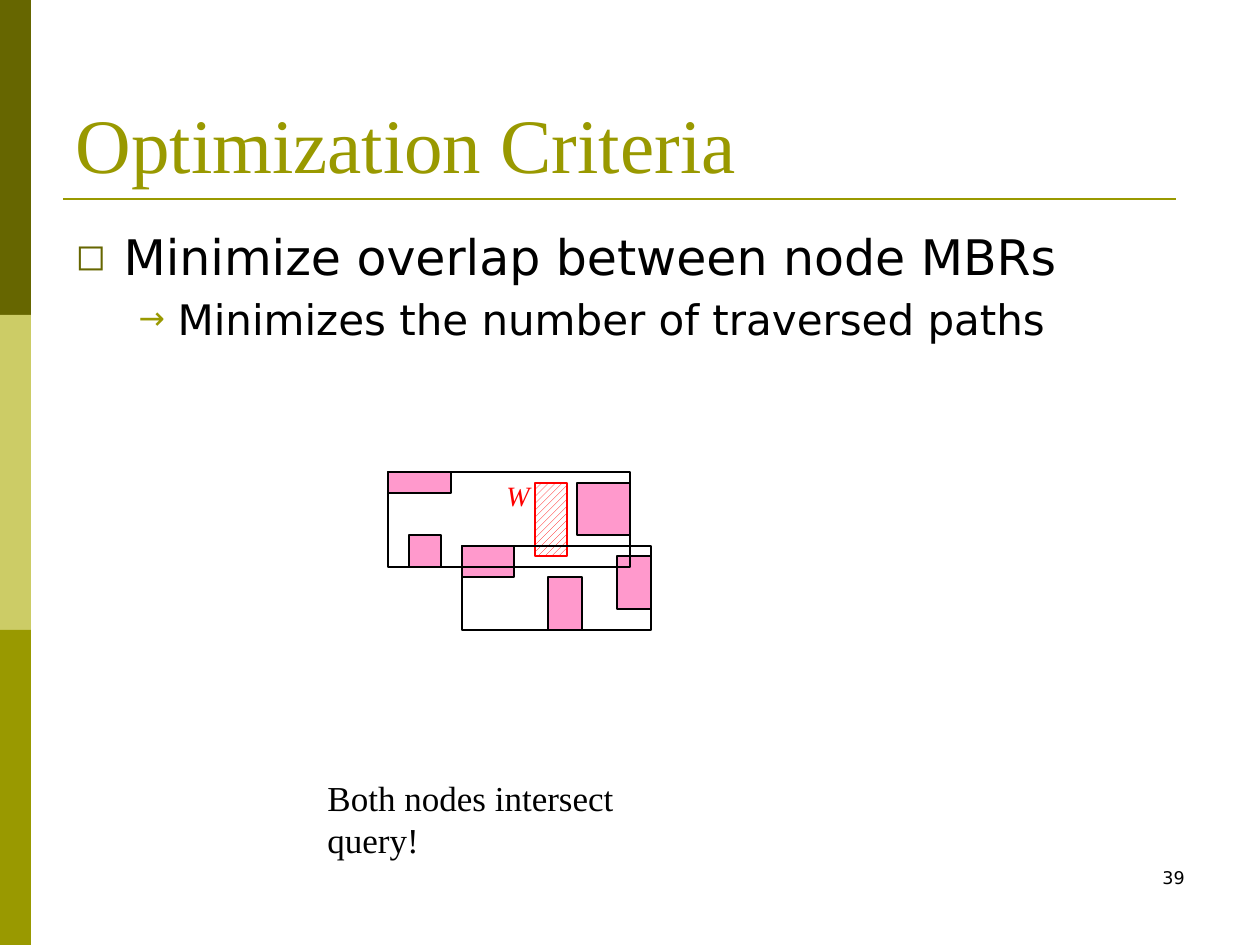
from lxml import etree
from pptx import Presentation
from pptx.dml.color import RGBColor
from pptx.enum.dml import MSO_PATTERN
from pptx.enum.shapes import MSO_CONNECTOR, MSO_SHAPE
from pptx.enum.text import MSO_ANCHOR, MSO_AUTO_SIZE, PP_ALIGN
from pptx.oxml.ns import qn
from pptx.util import Emu, Pt

RECTANGLE = MSO_SHAPE.RECTANGLE
STRAIGHT = MSO_CONNECTOR.STRAIGHT
HATCH = MSO_PATTERN.WIDE_UPWARD_DIAGONAL
BOTTOM, TOP = MSO_ANCHOR.BOTTOM, MSO_ANCHOR.TOP
NO_AUTOFIT = MSO_AUTO_SIZE.NONE
LEFT, RIGHT = PP_ALIGN.LEFT, PP_ALIGN.RIGHT

PX = 914400 / 126
SERIF, SANS = "Times New Roman", "DejaVu Sans"
HEX = {
    "dark olive": "666600", "light olive": "CCCC66", "olive": "999900",
    "pink": "FF99CC", "red": "FF0000", "black": "000000", "white": "FFFFFF",
}
COLOR = {name: RGBColor.from_string(value) for name, value in HEX.items()}


def add_rectangle(shapes, bounds, fill=None, line=None):
    box = shapes.add_shape(RECTANGLE, *(Emu(round(n * PX)) for n in bounds))
    box.shadow.inherit = False
    if fill:
        box.fill.solid()
        box.fill.fore_color.rgb = COLOR[fill]
    else:
        box.fill.background()
    if line:
        box.line.color.rgb = COLOR[line]
        box.line.width = Pt(0.75)
    else:
        box.line.fill.background()
    return box


def write(para, text, font, size, color, align=LEFT, italic=False):
    para.alignment = align
    span = para.add_run()
    span.text = text
    span.font.name = font
    span.font.size = Pt(size)
    span.font.italic = italic
    span.font.color.rgb = COLOR[color]


deck = Presentation()
deck.slide_width, deck.slide_height = Emu(round(1260 * PX)), Emu(round(945 * PX))
page = deck.slides.add_slide(deck.slide_layouts[1])
shapes = page.shapes

# Side bars and title rule
for row, color in enumerate(("dark olive", "light olive", "olive")):
    add_rectangle(shapes, (0, row * 315, 31, 315), color)
rule = shapes.add_connector(STRAIGHT, *(Emu(round(n * PX)) for n in (63, 199, 1176, 199)))
rule.line.color.rgb = COLOR["olive"]
rule.line.width = Pt(1.5)
etree.SubElement(rule._element.spPr, qn("a:effectLst"))

# Title and bullet list
title, body = shapes.title, page.placeholders[1]
for holder, bounds, anchor in ((title, (63, 38, 1134, 157), BOTTOM),
                               (body, (63, 220, 1134, 672), TOP)):
    holder.left, holder.top, holder.width, holder.height = (
        Emu(round(n * PX)) for n in bounds)
    holder.text_frame.vertical_anchor = anchor
    holder.text_frame.auto_size = NO_AUTOFIT
write(title.text_frame.paragraphs[0], "Optimization Criteria", SERIF, 44, "olive")

bullets = [
    ("Minimize overlap between node MBRs", 28, "◻", "dark olive", 48, 48, 0),
    ("Minimizes the number of traversed paths", 24, "→", "olive", 102, 39, 5),
]
for level, (text, size, mark, color, margin, hang, before) in enumerate(bullets):
    frame = body.text_frame
    para = frame.add_paragraph() if level else frame.paragraphs[0]
    para.level = level
    properties = para._p.get_or_add_pPr()
    properties.set("marL", str(round(margin * PX)))
    properties.set("indent", str(round(-hang * PX)))
    bullet_color = etree.SubElement(properties, qn("a:buClr"))
    etree.SubElement(bullet_color, qn("a:srgbClr"), val=HEX[color])
    etree.SubElement(properties, qn("a:buSzPct"), val="75000")
    etree.SubElement(properties, qn("a:buFont"), typeface=SANS)
    etree.SubElement(properties, qn("a:buChar"), char=mark)
    para.space_before = Pt(before)
    write(para, text, SANS, size, "black")

# Query window
window = add_rectangle(shapes, (535, 483, 32, 73), "white", "red")
window.fill.patterned()
window.fill.pattern = HATCH
window.fill.fore_color.rgb = COLOR["red"]
window.fill.back_color.rgb = COLOR["white"]

# Objects of the upper node, then the lower node with its objects
for bounds in ((409, 535, 32, 32), (577, 483, 53, 52), (388, 472, 63, 21)):
    add_rectangle(shapes, bounds, "pink", "black")
lower_node = shapes.add_group_shape().shapes
add_rectangle(lower_node, (462, 546, 189, 84), None, "black")
for bounds in ((548, 577, 34, 53), (617, 556, 34, 53), (462, 546, 52, 31)):
    add_rectangle(lower_node, bounds, "pink", "black")
add_rectangle(shapes, (388, 472, 242, 95), None, "black")

# Labels and page number
labels = [
    ("W", (494, 472, 49, 47), SERIF, 16, "red", LEFT, True),
    ("Both nodes intersect query!", (315, 770, 400, 96), SERIF, 20, "black", LEFT, False),
    ("39", (903, 861, 294, 63), SANS, 10, "black", RIGHT, False),
]
for text, bounds, *style in labels:
    label = shapes.add_textbox(*(Emu(round(n * PX)) for n in bounds))
    label.text_frame.word_wrap = True
    write(label.text_frame.paragraphs[0], text, *style)

deck.save("out.pptx")
